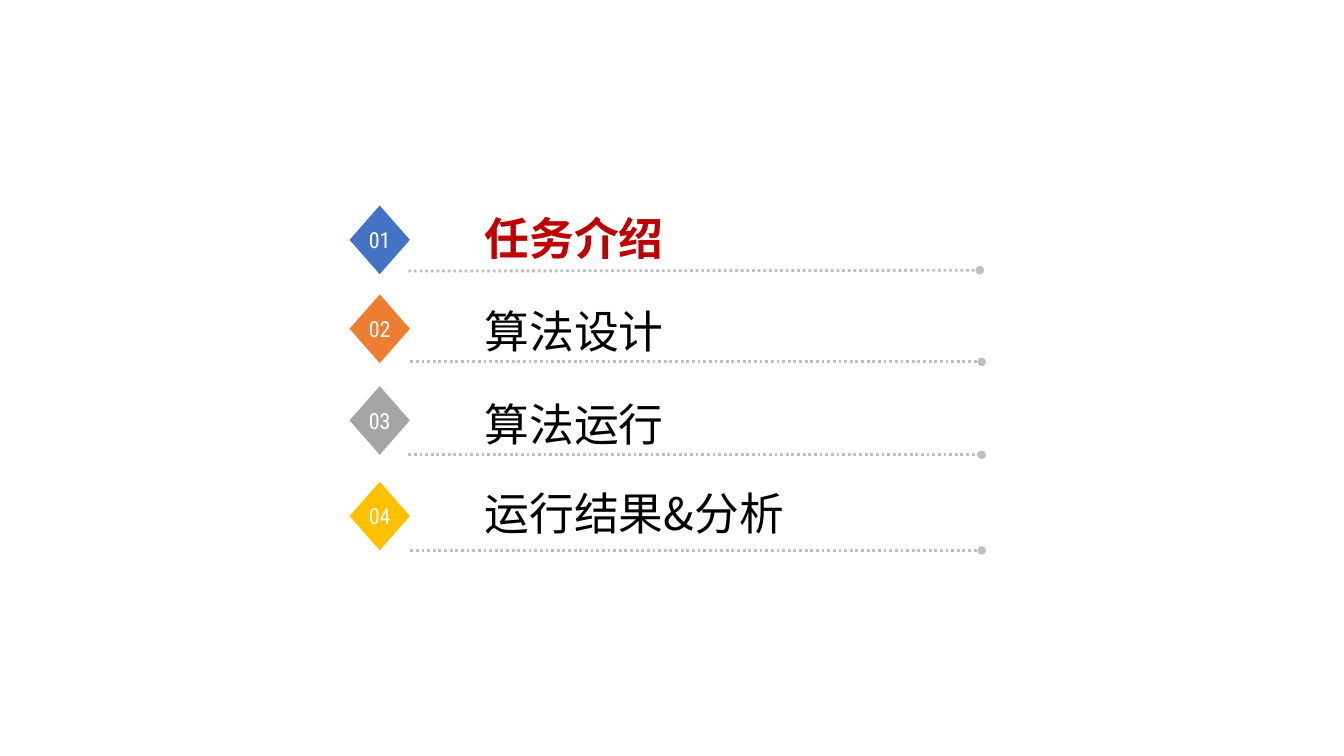
"""Builds an agenda slide with four numbered entries, the first one highlighted."""
from dataclasses import dataclass

from lxml import etree
from pptx import Presentation
from pptx import util as u
from pptx.dml.color import RGBColor
from pptx.enum import dml, shapes, text
from pptx.oxml.ns import qn

COLOURS = {
    "blue": "4472C4",
    "orange": "ED7D31",
    "grey": "A5A5A5",
    "gold": "FFC000",
    "rule": "C0C0C0",
    "highlight": "C00000",
    "black": "000000",
    "white": "FFFFFF",
}
TITLE_FORMAT = {"name": "Noto Sans CJK SC", "size": u.Pt(32)}
NUMBER_FORMAT = {"name": "Roboto Condensed", "size": u.Pt(15.8)}
TITLE_FRAME = {"word_wrap": True, "auto_size": text.MSO_AUTO_SIZE.SHAPE_TO_FIT_TEXT}
NUMBER_FRAME = {"word_wrap": False, "vertical_anchor": text.MSO_ANCHOR.MIDDLE}
DIAMOND_LEFT, DIAMOND_WIDTH, DIAMOND_HEIGHT = 8.81, 1.52, 1.73
TITLE_LEFT, TITLE_WIDTH, TITLE_HEIGHT = 11.96, 13.03, 1.62


@dataclass(frozen=True)
class Entry:
    title: str
    colour: str
    diamond_top: float
    title_top: float
    rule_start: tuple[float, float]
    rule_end: tuple[float, float]
    current: bool = False


ENTRIES = [
    Entry("任务介绍", "blue", 5.18, 5.18, (10.29, 6.83), (24.69, 6.81), True),
    Entry("算法设计", "orange", 7.42, 7.52, (10.34, 9.12), (24.74, 9.12)),
    Entry("算法运行", "grey", 9.73, 9.86, (10.29, 11.46), (24.74, 11.46)),
    Entry("运行结果&分析", "gold", 12.14, 12.12, (10.34, 13.87), (24.74, 13.87)),
]


def rgb(name: str) -> RGBColor:
    return RGBColor.from_string(COLOURS[name])


def apply(target, values: dict) -> None:
    for name, value in values.items():
        setattr(target, name, value)


def write(box, words: str, frame: dict, font: dict, colour: str):
    apply(box.text_frame, frame)
    para = box.text_frame.paragraphs[0]
    span = para.add_run()
    span.text = words
    apply(span.font, font)
    span.font.color.rgb = rgb(colour)
    etree.SubElement(span.font._element, qn("a:ea"), typeface=font["name"])
    return para


def draw_rule(page, entry: Entry) -> None:
    ends = [u.Cm(value) for value in entry.rule_start + entry.rule_end]
    rule = page.shapes.add_connector(shapes.MSO_CONNECTOR.STRAIGHT, *ends)
    rule.line.color.rgb = rgb("rule")
    apply(rule.line, {"width": u.Pt(2), "dash_style": dml.MSO_LINE.ROUND_DOT})
    etree.SubElement(rule.line._get_or_add_ln(), qn("a:tailEnd"), type="oval")
    etree.SubElement(rule._element.spPr, qn("a:effectLst"))


def draw_title(page, entry: Entry) -> None:
    place = (TITLE_LEFT, entry.title_top, TITLE_WIDTH, TITLE_HEIGHT)
    box = page.shapes.add_textbox(*map(u.Cm, place))
    font = TITLE_FORMAT | {"bold": entry.current}
    colour = "highlight" if entry.current else "black"
    write(box, entry.title, TITLE_FRAME, font, colour)


def draw_diamond(page, entry: Entry, number: int) -> None:
    place = (DIAMOND_LEFT, entry.diamond_top, DIAMOND_WIDTH, DIAMOND_HEIGHT)
    diamond = page.shapes.add_shape(shapes.MSO_SHAPE.DIAMOND, *map(u.Cm, place))
    diamond.shadow.inherit = False
    diamond.fill.solid()
    diamond.fill.fore_color.rgb = rgb(entry.colour)
    diamond.line.fill.background()
    para = write(diamond, f"{number:02}", NUMBER_FRAME, NUMBER_FORMAT, "white")
    para.alignment = text.PP_ALIGN.CENTER


def main() -> None:
    deck = Presentation()
    apply(deck, {"slide_width": u.Cm(33.87), "slide_height": u.Cm(19.05)})
    page = deck.slides.add_slide(deck.slide_layouts[6])
    for number, entry in enumerate(ENTRIES, start=1):
        draw_rule(page, entry)
        draw_title(page, entry)
        draw_diamond(page, entry, number)
    deck.save("out.pptx")


if __name__ == "__main__":
    main()
